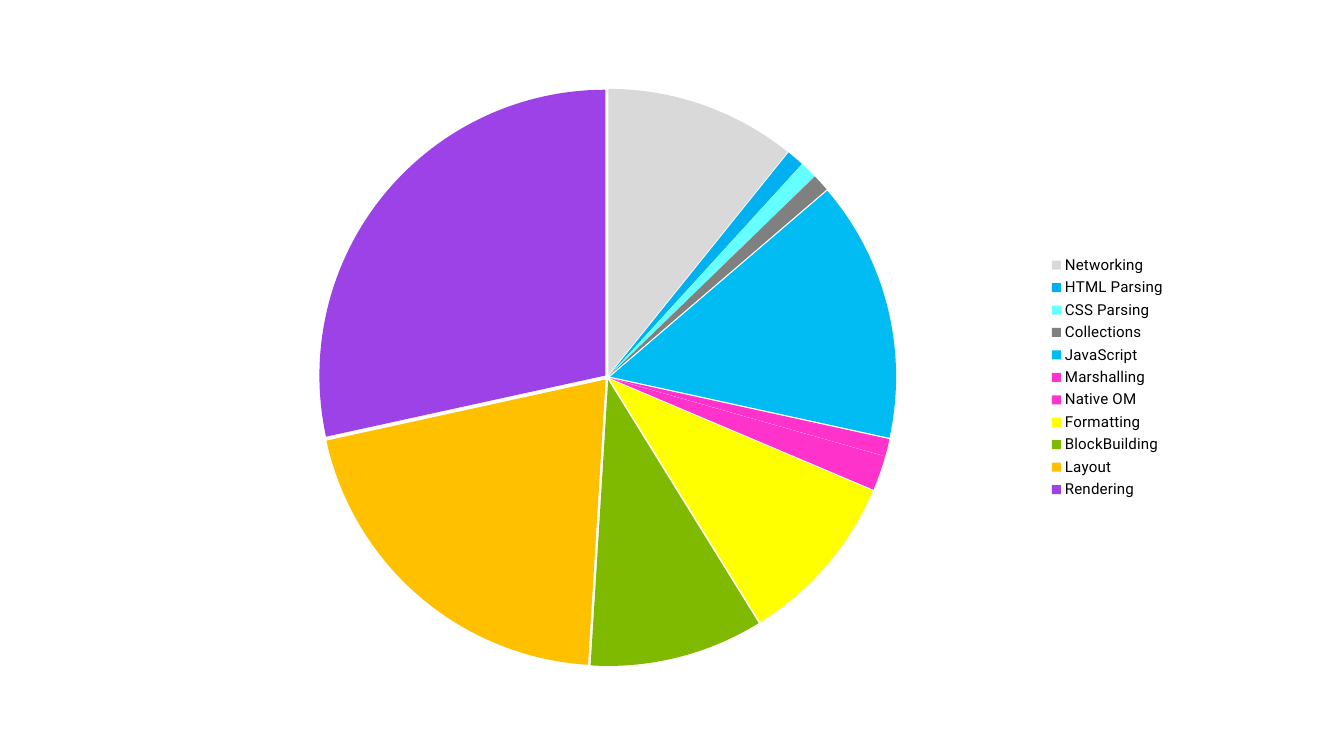
from lxml import etree
from pptx import Presentation
from pptx.chart.data import CategoryChartData
from pptx.dml.color import RGBColor
from pptx.enum.chart import XL_CHART_TYPE, XL_LEGEND_POSITION
from pptx.oxml.ns import qn
from pptx.util import Cm, Pt

PIE = XL_CHART_TYPE.PIE
RIGHT = XL_LEGEND_POSITION.RIGHT

# Content: activity, share, slice colour
SLICES = [
    ("Networking", 11, "D9D9D9"),
    ("HTML Parsing", 1, "00B0F0"),
    ("CSS Parsing", 1, "66FFFF"),
    ("Collections", 1, "808080"),
    ("JavaScript", 15, "00BCF2"),
    ("Marshalling", 1, "FF33CC"),
    ("Native OM", 2, "FF33CC"),
    ("Formatting", 10, "FFFF00"),
    ("BlockBuilding", 10, "7FBA00"),
    ("Layout", 21, "FFC000"),
    ("Rendering", 29, "9C42E6"),
]
EXPLOSION = 1


def rgb(color):
    return RGBColor.from_string(color)


def set_font(font, size, color="000000", name="Roboto"):
    font.size = Pt(size)
    font.name = name
    font.color.rgb = rgb(color)


def add_pie(s, left, top, width, height):
    data = CategoryChartData()
    data.categories = [name for name, _, _ in SLICES]
    data.add_series("Series 1", [share for _, share, _ in SLICES])
    chart = s.shapes.add_chart(PIE, left, top, width, height, data).chart
    chart.has_title = False
    set_font(chart.font, 10)

    # Legend
    chart.has_legend = True
    chart.legend.position = RIGHT
    chart.legend.include_in_layout = False
    set_font(chart.legend.font, 11)

    # Slices, each coloured and moved slightly out from the centre
    plot = chart.plots[0]
    plot.vary_by_categories = True
    series = plot.series[0]
    series.format.line.fill.background()
    explosion = etree.Element(qn("c:explosion"), val=str(EXPLOSION))
    series.format.line._get_or_add_ln().getparent().addnext(explosion)
    for i, (_, _, color) in enumerate(SLICES):
        fmt = series.points[i].format
        fmt.fill.solid()
        fmt.fill.fore_color.rgb = rgb(color)
        fmt.line.fill.background()


def main():
    prs = Presentation()
    prs.slide_width, prs.slide_height = Cm(34.54), Cm(19.43)
    s = prs.slides.add_slide(prs.slide_layouts[6])
    add_pie(s, Cm(4.32), Cm(1.93), Cm(25.91), Cm(15.54))
    prs.save("out.pptx")


if __name__ == "__main__":
    main()
